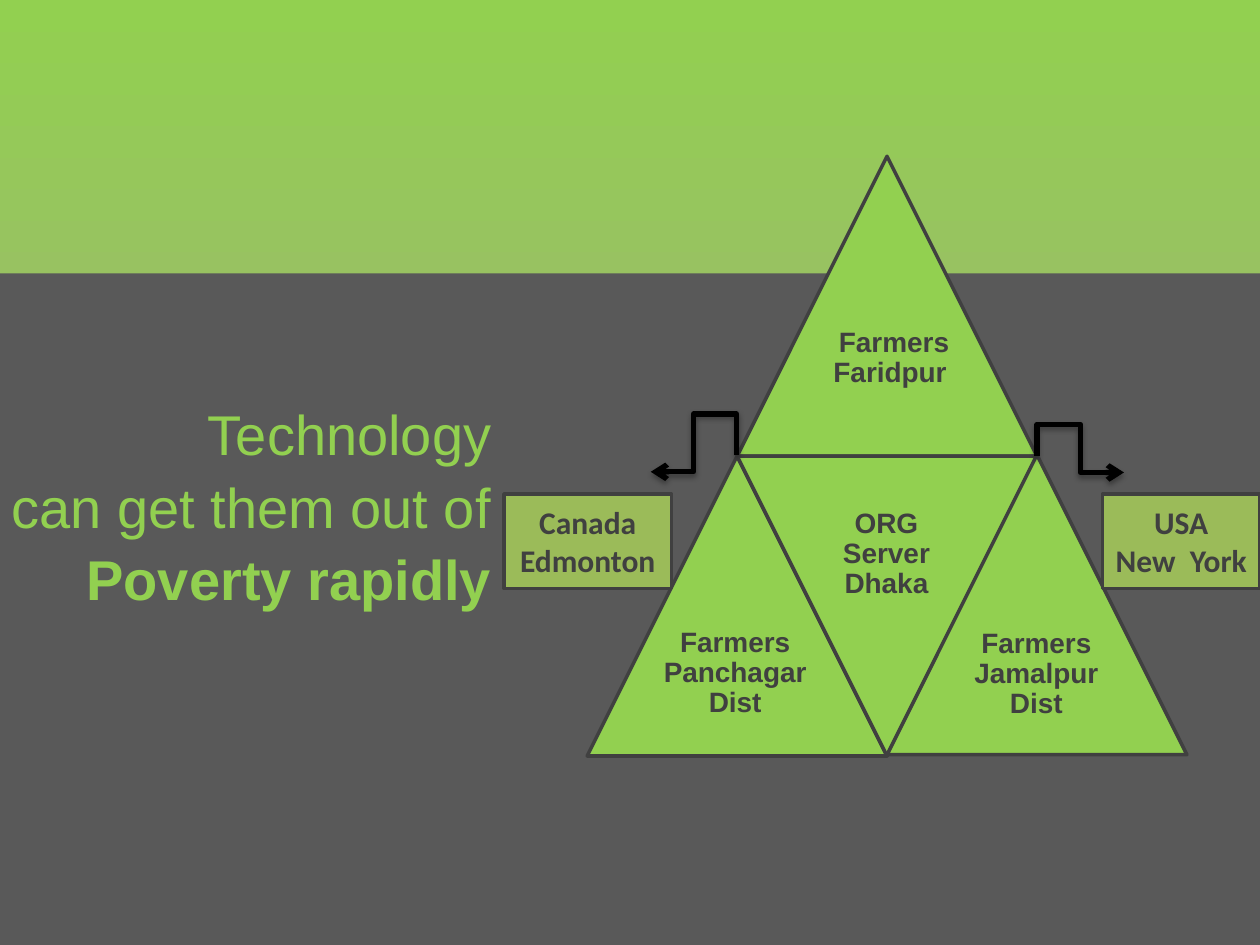
from copy import deepcopy

from lxml import etree
from pptx import Presentation
from pptx.dml.color import RGBColor
from pptx.enum.shapes import MSO_CONNECTOR, MSO_SHAPE
from pptx.enum.text import MSO_ANCHOR, MSO_AUTO_SIZE, PP_ALIGN
from pptx.oxml import parse_xml
from pptx.oxml.ns import nsdecls, qn
from pptx.util import Inches, Pt

LIME = RGBColor(0x92, 0xD0, 0x50)
SAGE = RGBColor(0x9C, 0xB8, 0x6E)
FOREST = RGBColor(0x15, 0x6B, 0x13)
OLIVE = RGBColor(0x9B, 0xBB, 0x59)
GRAY = RGBColor(0x59, 0x59, 0x59)
CHARCOAL = RGBColor(0x40, 0x40, 0x40)
BLACK = RGBColor(0, 0, 0)

SIDE = 2.38
APEX_LEFT, APEX_TOP = 5.85, 1.24


def paint_background(slide):
    fill = slide.background.fill
    fill.gradient()
    fill.gradient_angle = 270
    stop_list = slide._element.find(".//" + qn("a:gsLst"))
    stop_list.append(deepcopy(stop_list[-1]))
    for stop, (position, color) in zip(
        fill.gradient_stops, [(0, LIME), (0.5, SAGE), (1, FOREST)]
    ):
        stop.position = position
        stop.color.rgb = color


def add_block(slide, preset, box, color, outlined=True):
    block = slide.shapes.add_shape(preset, *map(Inches, box))
    block.shadow.inherit = False
    block.fill.solid()
    block.fill.fore_color.rgb = color
    if outlined:
        block.line.color.rgb = CHARCOAL
        block.line.width = Pt(2)
    else:
        block.line.fill.background()
    return block


def write_lines(frame, lines, font, alignment=PP_ALIGN.CENTER, **spacing):
    """Write one paragraph per line; font holds name, size, bold and color."""
    frame.word_wrap = True
    for index, line in enumerate(lines):
        paragraph = frame.paragraphs[0] if index == 0 else frame.add_paragraph()
        paragraph.alignment = alignment
        for attribute, value in spacing.items():
            setattr(paragraph, attribute, value)
        run = paragraph.add_run()
        run.text = line
        run.font.name, run.font.size, run.font.bold, run.font.color.rgb = font


def add_headline(slide, box):
    frame = slide.shapes.add_textbox(*map(Inches, box)).text_frame
    lines = ["Technology", "can get them out of", "Poverty rapidly"]
    write_lines(
        frame, lines, ("Arial", Pt(32), False, LIME), PP_ALIGN.RIGHT,
        line_spacing=Pt(35), space_before=Pt(6.4),
    )
    frame.auto_size = MSO_AUTO_SIZE.SHAPE_TO_FIT_TEXT
    frame.paragraphs[-1].runs[0].font.bold = True


def add_triangle(slide, left, top, label, label_box, rotation=0):
    triangle = add_block(
        slide, MSO_SHAPE.ISOSCELES_TRIANGLE, (left, top, SIDE, SIDE), LIME
    )
    triangle.rotation = rotation
    frame = slide.shapes.add_textbox(*map(Inches, label_box)).text_frame
    frame.vertical_anchor = MSO_ANCHOR.MIDDLE
    for side in ("left", "top", "right", "bottom"):
        setattr(frame, f"margin_{side}", Inches(0.07))
    write_lines(
        frame, [label], ("Arial", Pt(16), True, CHARCOAL), line_spacing=0.9
    )


def add_pyramid(slide, left, top):
    """Stack four triangles, the middle one inverted, from the apex box corner."""
    half, base = SIDE / 2, top + SIDE
    add_triangle(slide, left, top, "Farmers Faridpur ",
                 (left + 0.65, top + 1.01, half, half))
    add_triangle(slide, left - half, base, "Farmers Panchagar Dist",
                 (left - 0.68, base + 1.13, 1.33, half))
    add_triangle(slide, left, base, "ORG Server Dhaka",
                 (left + 0.59, base + 0.21, half, 1.14), rotation=180)
    add_triangle(slide, left + half, base - 0.01, "Farmers Jamalpur Dist",
                 (left + 1.78, base + 1.14, half, half))


def add_office(slide, box, lines):
    office = add_block(slide, MSO_SHAPE.RECTANGLE, box, OLIVE)
    office.text_frame.vertical_anchor = MSO_ANCHOR.MIDDLE
    write_lines(office.text_frame, lines, ("Calibri", Pt(18), True, CHARCOAL))


def add_bent_arrow(slide, box, rise, mirrored):
    """Draw a quarter-turned four-segment elbow that first climbs by rise."""
    left, top, width, height = box
    start_y, end_y = (top + height, top) if mirrored else (top, top + height)
    arrow = slide.shapes.add_connector(
        MSO_CONNECTOR.ELBOW,
        Inches(left + width), Inches(start_y), Inches(left), Inches(end_y),
    )
    arrow.line.color.rgb = BLACK
    arrow.line.width = Pt(3)
    properties = arrow._element.spPr
    properties.find(qn("a:xfrm")).set("rot", str(270 * 60000))
    geometry = properties.find(qn("a:prstGeom"))
    geometry.set("prst", "bentConnector4")
    guides = geometry.find(qn("a:avLst"))
    if guides is None:
        guides = etree.SubElement(geometry, qn("a:avLst"))
    for name, value in {"adj1": rise, "adj2": 50000}.items():
        etree.SubElement(guides, qn("a:gd"), name=name, fmla=f"val {value}")
    etree.SubElement(properties.find(qn("a:ln")), qn("a:tailEnd"), type="arrow")
    properties.append(parse_xml(
        f'<a:effectLst {nsdecls("a")}>'
        '<a:outerShdw blurRad="40000" dist="23000" dir="5400000" rotWithShape="0">'
        '<a:srgbClr val="000000"><a:alpha val="35000"/></a:srgbClr>'
        "</a:outerShdw></a:effectLst>"
    ))


def main():
    presentation = Presentation()
    presentation.slide_width, presentation.slide_height = Inches(10), Inches(7.5)
    slide = presentation.slides.add_slide(presentation.slide_layouts[6])
    paint_background(slide)
    add_block(slide, MSO_SHAPE.RECTANGLE, (0, 2.17, 10, 5.33), GRAY, outlined=False)
    add_headline(slide, (-0.5, 3.17, 4.5, 1.79))
    add_pyramid(slide, APEX_LEFT, APEX_TOP)
    add_office(slide, (8.75, 3.92, 1.25, 0.75), ["USA", "New  York"])
    add_bent_arrow(slide, (8.51, 3.34, 0.13, 0.69), -193900, mirrored=False)
    add_bent_arrow(slide, (5.44, 3.34, 0.13, 0.68), -253600, mirrored=True)
    add_office(slide, (4, 3.92, 1.33, 0.75), ["Canada", "Edmonton"])
    presentation.save("out.pptx")


if __name__ == "__main__":
    main()
